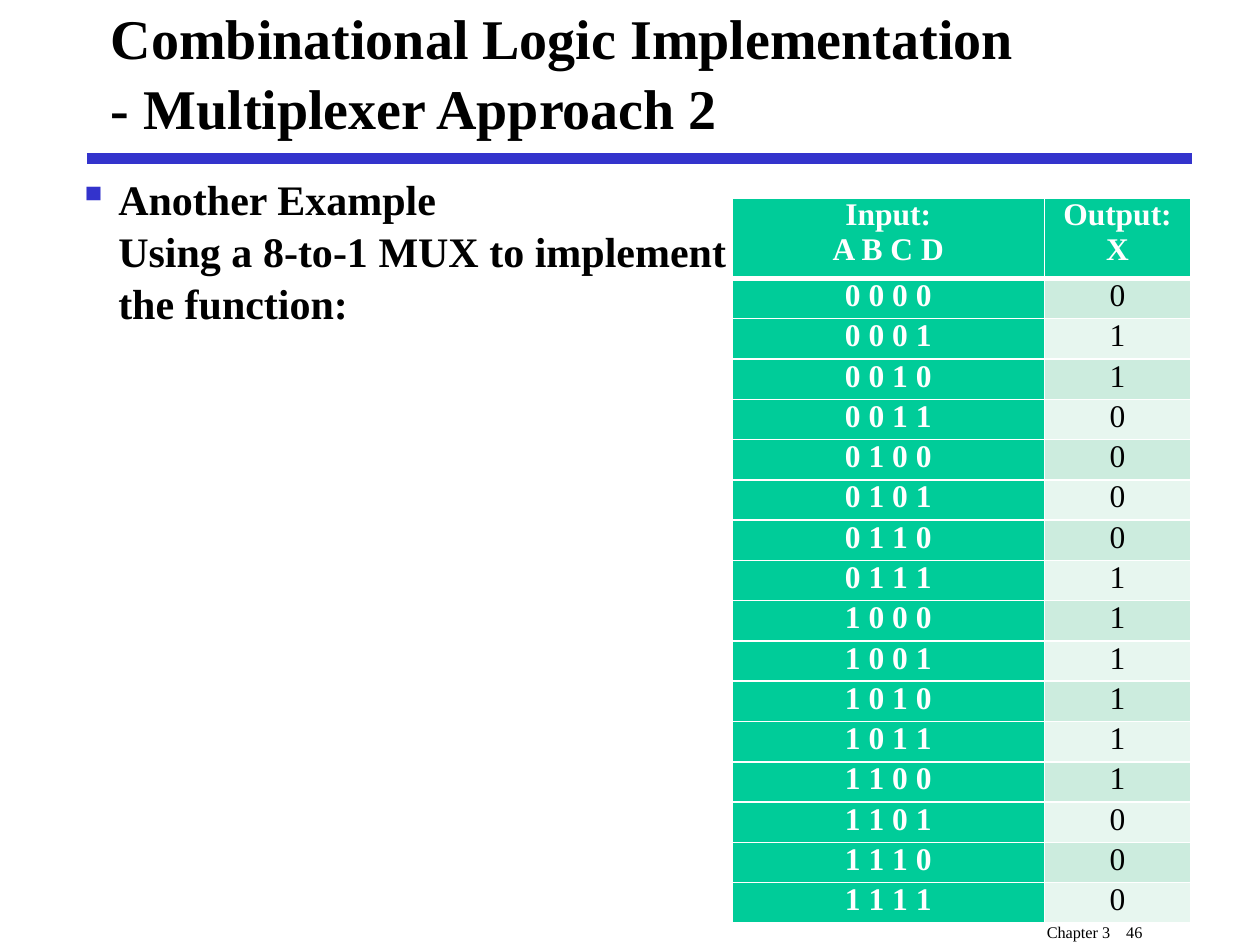
from dataclasses import dataclass

from lxml import etree
from pptx import Presentation
from pptx.dml.color import RGBColor
from pptx.enum.shapes import MSO_CONNECTOR
from pptx.enum.text import MSO_ANCHOR, MSO_AUTO_SIZE, PP_ALIGN
from pptx.oxml.ns import qn
from pptx.util import Inches, Pt

STRAIGHT = MSO_CONNECTOR.STRAIGHT
MIDDLE, TOP = MSO_ANCHOR.MIDDLE, MSO_ANCHOR.TOP
NO_FIT = MSO_AUTO_SIZE.NONE
LEFT, CENTER = PP_ALIGN.LEFT, PP_ALIGN.CENTER


@dataclass(frozen=True)
class Theme:
    """Colours, font and type sizes of the slide."""
    font: str = "Times New Roman"
    text: str = "000000"
    white: str = "FFFFFF"
    accent: str = "3333CC"
    green: str = "00CC99"
    bands: tuple = ("CCECDE", "E7F6EF")
    title: int = 32
    body: int = 24
    cell: int = 18
    footer: int = 16


def rgb(value):
    """Turn a hex string into a colour."""
    return RGBColor.from_string(value)


def add(parent, tag, **attrs):
    """Append a drawing element to a parent."""
    return etree.SubElement(parent, qn(tag), **attrs)


class Deck:
    """Holds the theme and the current slide."""

    def __init__(self, prs, theme):
        """Start a title-only slide."""
        self.theme = theme
        self.s = prs.slides.add_slide(prs.slide_layouts[5])

    def style(self, tf, size, color, bold=False, align=LEFT, spacing=1.0):
        """Format every paragraph and run of a text frame."""
        for p in tf.paragraphs:
            p.alignment = align
            p.line_spacing = spacing
            for r in p.runs:
                r.font.name = self.theme.font
                r.font.size = Pt(size)
                r.font.bold = bold
                r.font.color.rgb = rgb(color)

    def title(self, text, x, y, w, h):
        """Place and fill the title placeholder."""
        sp = self.s.shapes.title
        sp.left, sp.top, sp.width, sp.height = map(Inches, (x, y, w, h))
        tf = sp.text_frame
        tf.text = text
        tf.auto_size = NO_FIT
        tf.vertical_anchor = MIDDLE
        self.style(tf, self.theme.title, self.theme.text, True, spacing=1.04)

    def rule(self, x1, x2, y, width):
        """Draw a horizontal line."""
        ln = self.s.shapes.add_connector(
            STRAIGHT, Inches(x1), Inches(y), Inches(x2), Inches(y))
        ln.line.color.rgb = rgb(self.theme.accent)
        ln.line.width = Pt(width)
        add(ln._element.spPr, "a:effectLst")

    def textbox(self, text, x, y, w, h):
        """Add a wrapping text box and return its text frame."""
        sp = self.s.shapes.add_textbox(*map(Inches, (x, y, w, h)))
        tf = sp.text_frame
        tf.word_wrap = True
        tf.text = text
        return tf

    def bullet(self, text, x, y, w, h, indent):
        """Add a bulleted paragraph."""
        tf = self.textbox(text, x, y, w, h)
        self.style(tf, self.theme.body, self.theme.text, True, spacing=1.04)
        p = tf.paragraphs[0]
        p.space_before = Pt(0.2 * self.theme.body)
        pPr = p._p.get_or_add_pPr()
        pPr.set("marL", str(Inches(indent)))
        pPr.set("indent", str(-Inches(indent)))
        add(add(pPr, "a:buClr"), "a:srgbClr", val=self.theme.accent)
        add(pPr, "a:buChar", char="▪")

    def footer(self, text, x, y, w, h, tab):
        """Add the lowered chapter and page number."""
        tf = self.textbox(text, x, y, w, h)
        self.style(tf, self.theme.footer, self.theme.text)
        p = tf.paragraphs[0]
        add(add(p._p.get_or_add_pPr(), "a:tabLst"), "a:tab",
            pos=str(Inches(tab)), algn="l")
        for r in p.runs:
            r.font._element.set("baseline", "-25000")

    def cell(self, cell, text, fill, color, bold, top, bottom):
        """Fill one table cell and draw its borders."""
        cell.margin_left = cell.margin_right = Inches(0.07)
        cell.margin_top = cell.margin_bottom = 0
        cell.vertical_anchor = TOP
        tcPr = cell._tc.get_or_add_tcPr()
        sides = {"a:lnL": 1, "a:lnR": 1, "a:lnT": top, "a:lnB": bottom}
        for tag, width in sides.items():
            ln = add(tcPr, tag, w=str(Pt(width)))
            add(add(ln, "a:solidFill"), "a:srgbClr", val=self.theme.white)
        cell.fill.solid()
        cell.fill.fore_color.rgb = rgb(fill)
        cell.text_frame.text = text
        self.style(cell.text_frame, self.theme.cell, color, bold, CENTER)

    def table(self, rows, x, y, widths, row_h, head_h):
        """Add a table with a green header row and first column."""
        th = self.theme
        height = head_h + row_h * (len(rows) - 1)
        tbl = self.s.shapes.add_table(
            len(rows), len(widths), Inches(x), Inches(y),
            Inches(sum(widths)), Inches(height)).table
        for col, width in zip(tbl.columns, widths):
            col.width = Inches(width)
        for i, row in enumerate(rows):
            tbl.rows[i].height = Inches(row_h if i else head_h)
            top, bottom = 3 if i == 1 else 1, 1 if i else 3
            for j, text in enumerate(row):
                key = i == 0 or j == 0
                fill = th.green if key else th.bands[(i - 1) % 2]
                color = th.white if key else th.text
                self.cell(tbl.cell(i, j), text, fill, color, key, top, bottom)


def main():
    """Build and save the slide."""
    prs = Presentation()
    prs.slide_width, prs.slide_height = Inches(10), Inches(7.5)
    deck = Deck(prs, Theme())
    deck.rule(0.69, 9.46, 1.26, 6)
    deck.footer("Chapter 3\t46", 8.21, 7.12, 1.78, 0.38, tab=0.63)
    deck.bullet("Another Example\vUsing a 8-to-1 MUX to implement the function:",
                0.52, 1.31, 5.39, 5.5, indent=0.32)
    deck.title("Combinational Logic Implementation\v- Multiplexer Approach 2",
               0.78, 0, 8.5, 1.12)
    outputs = "0110000111111000"
    rows = [("Input:\nA B C D", "Output:\nX")]
    rows += [(" ".join(f"{n:04b}"), x) for n, x in enumerate(outputs)]
    deck.table(rows, 5.81, 1.57, (2.48, 1.16), row_h=0.32, head_h=0.64)
    prs.save("out.pptx")


main()
